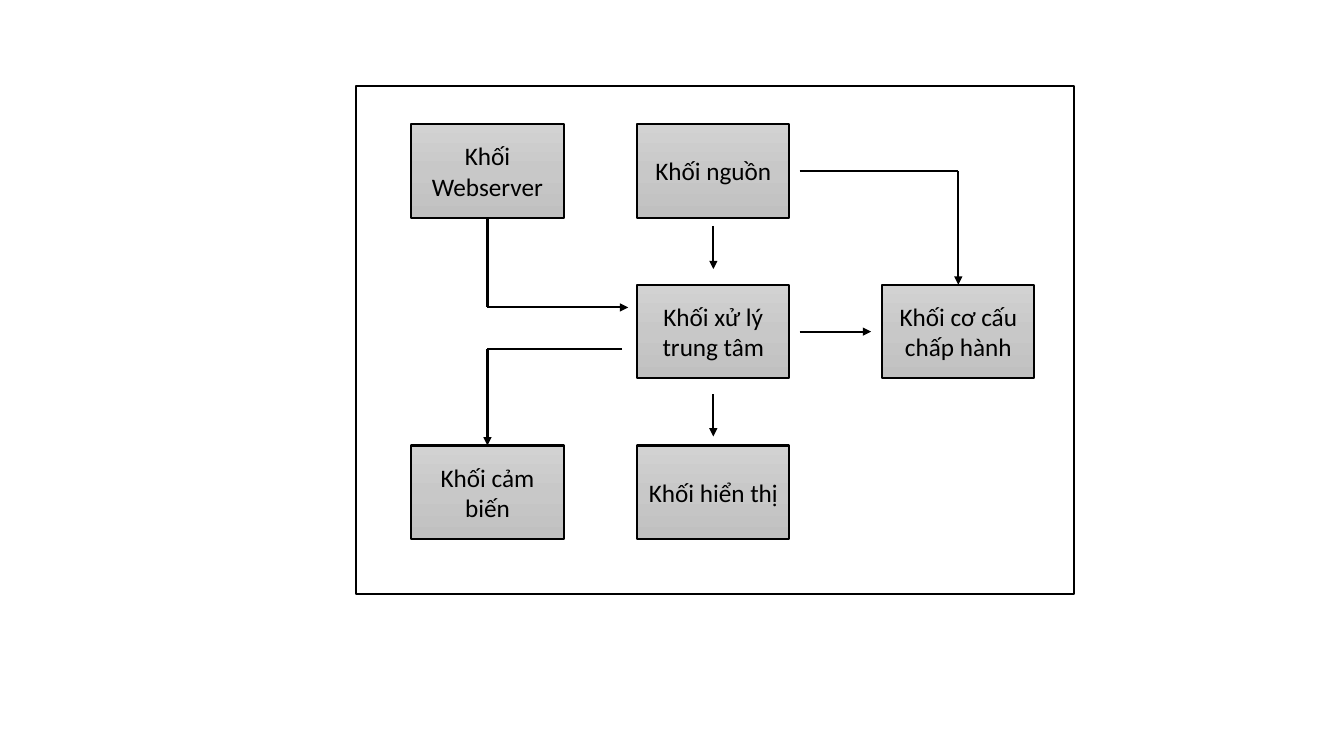
from copy import deepcopy
from dataclasses import dataclass

from pptx import Presentation
from pptx.dml.color import RGBColor
from pptx.enum.shapes import MSO_CONNECTOR, MSO_SHAPE
from pptx.enum.text import MSO_ANCHOR, PP_ALIGN
from pptx.oxml.ns import qn
from pptx.util import Inches, Pt
from lxml import etree

RECTANGLE = MSO_SHAPE.RECTANGLE
STRAIGHT = MSO_CONNECTOR.STRAIGHT
MIDDLE = MSO_ANCHOR.MIDDLE
CENTER = PP_ALIGN.CENTER


@dataclass(frozen=True)
class Theme:
    ink: RGBColor = RGBColor(0, 0, 0)
    shades: tuple = ("D2D2D2", "C8C8C8", "C0C0C0")
    font: str = "Calibri"
    text_size: Pt = Pt(18)
    line_width: Pt = Pt(1.5)


theme = Theme()

deck = Presentation()
deck.slide_width = Inches(13.33)
deck.slide_height = Inches(7.5)
page = deck.slides.add_slide(deck.slide_layouts[6])


def add_box(left, top, width, height):
    box = page.shapes.add_shape(
        RECTANGLE, Inches(left), Inches(top), Inches(width), Inches(height))
    box.shadow.inherit = False
    box.line.color.rgb = theme.ink
    box.line.width = theme.line_width
    return box


def add_line(start, end, arrow):
    line = page.shapes.add_connector(
        STRAIGHT, *(Inches(value) for value in start + end))
    line.line.color.rgb = theme.ink
    line.line.width = theme.line_width
    properties = line._element.spPr
    if arrow:
        outline = properties.find(qn("a:ln"))
        etree.SubElement(outline, qn("a:tailEnd"), type="triangle")
    etree.SubElement(properties, qn("a:effectLst"))


columns = (4.08, 6.32, 8.75)
block_width, block_height = 1.51, 0.93
rows = [1.23 + 1.595 * row for row in range(3)]
web_x, center_x, actuator_x = (left + block_width / 2 for left in columns)
source_y, processor_y, display_y = (top + block_height / 2 for top in rows)

frame = add_box(3.53, 0.85, 7.12, 5.04)
frame.fill.background()

blocks = (
    (0, 0, "Khối Webserver"),
    (1, 0, "Khối nguồn"),
    (1, 1, "Khối xử lý trung tâm"),
    (2, 1, "Khối cơ cấu chấp hành"),
    (0, 2, "Khối cảm biến"),
    (1, 2, "Khối hiển thị"),
)
for column, row, label in blocks:
    box = add_box(columns[column], rows[row], block_width, block_height)
    box.fill.gradient()
    box.fill.gradient_angle = 270
    stop_list = box._element.spPr.find(qn("a:gradFill")).find(qn("a:gsLst"))
    stop_list.insert(1, deepcopy(stop_list[0]))
    for index, stop in enumerate(box.fill.gradient_stops):
        stop.position = index / 2
        stop.color.rgb = RGBColor.from_string(theme.shades[index])
    box.text_frame.word_wrap = True
    box.text_frame.vertical_anchor = MIDDLE
    para = box.text_frame.paragraphs[0]
    para.alignment = CENTER
    span = para.add_run()
    span.text = label
    span.font.name = theme.font
    span.font.size = theme.text_size
    span.font.color.rgb = theme.ink

exit_x = columns[1] + block_width + 0.1
inlet_y, outlet_y = processor_y - 0.24, processor_y + 0.17
routes = (
    ((center_x, 2.24), (center_x, 2.67)),
    ((center_x, 3.91), (center_x, 4.33)),
    ((exit_x, processor_y), (8.64, processor_y)),
    ((exit_x, source_y), (actuator_x, source_y), (actuator_x, rows[1])),
    ((web_x, rows[0] + block_height), (web_x, inlet_y), (6.23, inlet_y)),
    ((6.17, outlet_y), (web_x, outlet_y), (web_x, rows[2])),
)
for route in routes:
    for start, end in zip(route, route[1:]):
        add_line(start, end, arrow=end == route[-1])

deck.save("out.pptx")
